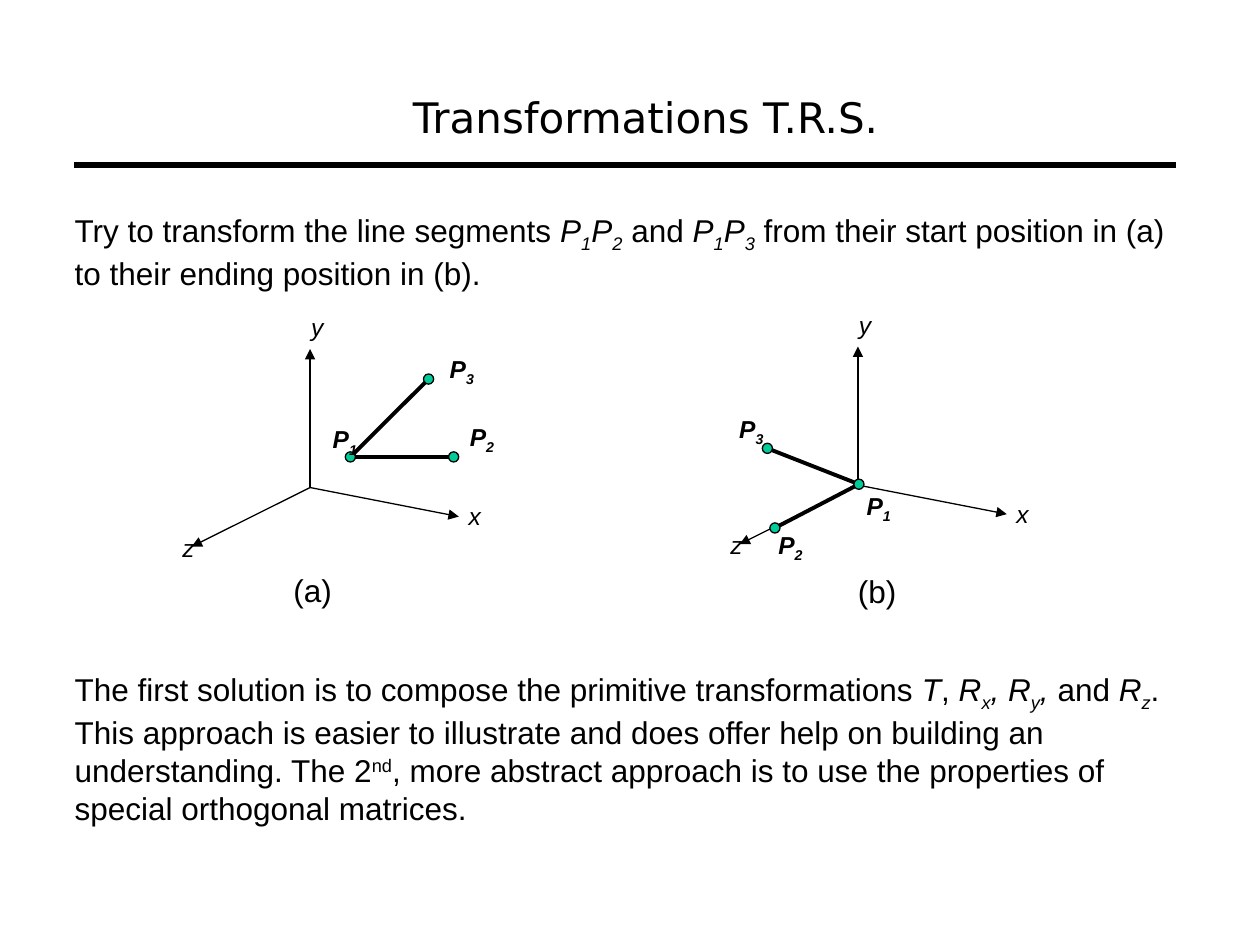
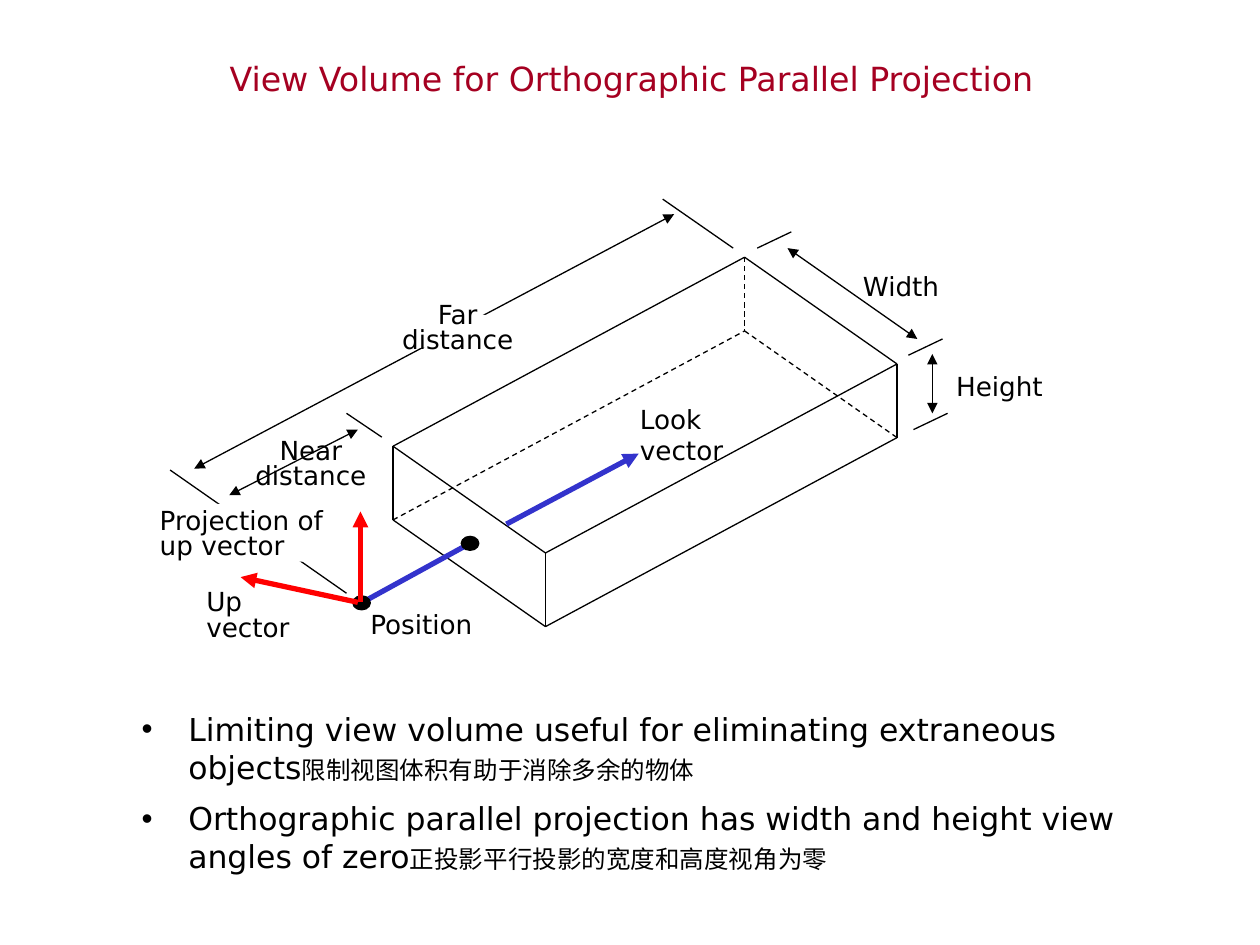
from dataclasses import dataclass
from itertools import combinations, product

from lxml.etree import SubElement
from pptx import Presentation
from pptx.dml.color import RGBColor
from pptx.enum.dml import MSO_LINE
from pptx.enum.shapes import MSO_CONNECTOR, MSO_SHAPE
from pptx.enum.text import MSO_ANCHOR, PP_ALIGN
from pptx.oxml.ns import qn
from pptx.util import Pt


@dataclass(frozen=True)
class Theme:
    black: str = "000000"
    white: str = "FFFFFF"
    crimson: str = "A50021"
    green: str = "00CC99"
    blue: str = "3333CC"
    red: str = "FF0000"
    sans: str = "Arial"
    wide: str = "DejaVu Sans"
    title: int = 24
    small_title: int = 19
    body: int = 18
    label: int = 15
    small: int = 14
    thin: float = 0.75
    medium: float = 2.25
    thick: float = 3


THEME = Theme()
ITALIC = {"italic": True}
SUB = {"italic": True, "baseline": -25000}
SUPER = {"baseline": 30000}


@dataclass(frozen=True)
class Box:
    left: float
    top: float
    width: float
    height: float

    def inner(self, left, top, width, height):
        return Box(self.left + left, self.top + top, width, height)

    def point(self, x, y):
        return self.left + x, self.top + y

    def lengths(self):
        return [Pt(value) for value in (self.left, self.top, self.width, self.height)]


def around(center, width, height):
    return Box(center[0] - width / 2, center[1] - height / 2, width, height)


def add_bullet(para):
    properties = para._p.get_or_add_pPr()
    properties.set("marL", str(Pt(26.6)))
    properties.set("indent", str(-Pt(26.6)))
    SubElement(properties, qn("a:buFont"), typeface=THEME.sans)
    SubElement(properties, qn("a:buChar"), char="•")


def add_text(page, box, paragraphs, font, para_format=None, frame_format=None,
             bullets=False, gap=0):
    """Each paragraph is a list of (text, font changes) spans."""
    frame = page.shapes.add_textbox(*box.lengths()).text_frame
    for name, value in {"word_wrap": True, **(frame_format or {})}.items():
        setattr(frame, name, value)
    for index, spans in enumerate(paragraphs):
        para = frame.add_paragraph() if index else frame.paragraphs[0]
        if index and gap:
            para.space_before = Pt(gap)
        for name, value in (para_format or {}).items():
            setattr(para, name, value)
        if bullets:
            add_bullet(para)
        for text, changes in spans:
            span = para.add_run()
            span.text = text
            style = {**font, **changes}
            baseline = style.pop("baseline", None)
            color = style.pop("color", THEME.black)
            for name, value in style.items():
                setattr(span.font, name, value)
            span.font.color.rgb = RGBColor.from_string(color)
            if baseline:
                span.font._element.set("baseline", str(baseline))


def add_line(page, start, end, color=THEME.black, width=THEME.thin,
             dashed=False, arrows=()):
    """Arrows holds "headEnd" for the start and "tailEnd" for the end."""
    line = page.shapes.add_connector(
        MSO_CONNECTOR.STRAIGHT, *[Pt(value) for value in (*start, *end)])
    line.line.color.rgb = RGBColor.from_string(color)
    line.line.width = Pt(width)
    if dashed:
        line.line.dash_style = MSO_LINE.DASH
    for arrow in arrows:
        SubElement(line.line._get_or_add_ln(), qn(f"a:{arrow}"), type="triangle")
    SubElement(line._element.spPr, qn("a:effectLst"))


def add_filled(page, kind, box, fill, outlined=True):
    shape = page.shapes.add_shape(kind, *box.lengths())
    shape.shadow.inherit = False
    shape.fill.solid()
    shape.fill.fore_color.rgb = RGBColor.from_string(fill)
    if outlined:
        shape.line.color.rgb = RGBColor.from_string(THEME.black)
        shape.line.width = Pt(THEME.thin)
    else:
        shape.line.fill.background()


def add_title(page, box, text, size, color):
    font = {"name": THEME.wide, "size": Pt(size), "color": color}
    add_text(page, box, [[(text, {})]], font, {"alignment": PP_ALIGN.CENTER},
             {"vertical_anchor": MSO_ANCHOR.MIDDLE})


def add_tag(page, box, spans, size=THEME.small, **changes):
    """A short label whose box is wide enough for one line."""
    add_text(page, box, [spans], {"name": THEME.sans, "size": Pt(size), **changes})


def add_axes(page, box):
    """Three axes whose origin is the top left corner of the box."""
    axes = {
        "y": ((0, -79.2), (-6.5, -103.7)),
        "x": ((85, 16.6), (83.5, 4.3)),
        "z": ((-67.7, 33.8), (-80, 22.3)),
    }
    for name, (tip, corner) in axes.items():
        add_line(page, box.point(0, 0), box.point(*tip), arrows=["tailEnd"])
        add_tag(page, box.inner(*corner, 28, 24.5), [(name, ITALIC)])


def add_segments(page, box, points):
    """Join P1 to P2 and P3; points holds (center, label corner) in order."""
    centers = [box.point(*center) for center, _ in points]
    for center in centers[1:]:
        add_line(page, centers[0], center, width=THEME.medium)
    for center in centers:
        add_filled(page, MSO_SHAPE.OVAL, around(center, 5.8, 5.8), THEME.green)
    for number, (_, corner) in enumerate(points, 1):
        add_tag(page, box.inner(*corner, 40, 26.6),
                [("P", ITALIC), (str(number), SUB)], bold=True)


def add_transformations(deck):
    page = deck.slides.add_slide(deck.slide_layouts[6])
    add_title(page, Box(39.5, 21.5, 659, 90), "Transformations T.R.S.",
              THEME.title, THEME.black)
    add_line(page, (42.5, 94.3), (672, 94.3), width=THEME.thick)

    font = {"name": THEME.sans, "size": Pt(THEME.body)}
    task = [
        ("Try to transform the line segments ", {}),
        ("P", ITALIC), ("1", SUB), ("P", ITALIC), ("2", SUB), (" and ", {}),
        ("P", ITALIC), ("1", SUB), ("P", ITALIC), ("3", SUB),
        (" from their start position in (a) to their ending position in (b).", {}),
    ]
    solution = [
        ("The first solution is to compose the primitive transformations ", {}),
        ("T", ITALIC), (", ", {}), ("R", ITALIC), ("x", SUB), (", R", ITALIC),
        ("y", SUB), (", ", ITALIC), ("and ", {}), ("R", ITALIC), ("z", SUB),
        (". This approach is easier to illustrate and does offer help on "
         "building an understanding. The 2", {}), ("nd", SUPER),
        (", more abstract approach is to use the properties of special "
         "orthogonal matrices.", {}),
    ]
    for top, height, spans in ((117, 56, task), (379.4, 100, solution)):
        add_text(page, Box(35.6, top, 653.5, height), [spans], font)

    start = [((23, -17.5), (5.8, -39.6)), ((82, -17.5), (84.2, -41)),
             ((67.7, -62), (72.7, -80))]
    ending = [((0.5, -0.5), (-2.2, 0)), ((-47.5, 24.5), (-52.6, 22.3)),
              ((-51.8, -21), (-75, -44))]
    diagrams = [
        ("(a)", Box(177.2, 278.6, 110, 80), start, (-16.6, 44)),
        ("(b)", Box(490.3, 277.2, 110, 80), ending, (-7.2, 46)),
    ]
    for caption, box, points, corner in diagrams:
        add_axes(page, box)
        add_segments(page, box, points)
        add_tag(page, box.inner(*corner, 48, 29), [(caption, {})], THEME.body)


def add_cuboid(page, box):
    """The box's top left corner is the upper left corner of the near face."""
    width, depth, height = (87.1, 61), (200.9, -108), (0, 42.1)
    hidden = (0, 1, 1)

    def place(corner):
        return box.point(*[sum(step * side[axis] for step, side in
                               zip(corner, (width, depth, height)))
                           for axis in (0, 1)])

    for first, second in combinations(product((0, 1), repeat=3), 2):
        if sum(a != b for a, b in zip(first, second)) == 1:
            add_line(page, place(first), place(second),
                     dashed=hidden in (first, second))


def add_dimensions(page, box):
    measures = [
        ((120.5, 132.5), (47, 170)),
        ((27, 154.8), (301.2, 9.4)),
        ((366, 28.8), (440.2, 80.7)),
        ((448.8, 89.3), (448.8, 123.2)),
    ]
    for start, end in measures:
        add_line(page, box.point(*start), box.point(*end),
                 arrows=["headEnd", "tailEnd"])
    for x, y in ((348.7, 28.8), (435.1, 90), (438, 132.5)):
        add_line(page, box.point(x, y), box.point(x + 19.5, y - 9.3))
    extensions = [
        ((335, 28.8), (294.7, 0.8)),
        ((134.2, 136.8), (114, 123.2)),
        ((114, 226), (13.2, 155.6)),
    ]
    for start, end in extensions:
        add_line(page, box.point(*start), box.point(*end))


def add_view_vectors(page, box):
    position, entry = box.point(122.6, 231.5), box.point(184.6, 197.5)
    blue = {"color": THEME.blue, "width": THEME.thick}
    add_line(page, box.point(205.4, 186.5), box.point(281, 146.2),
             arrows=["tailEnd"], **blue)
    add_line(page, entry, position, **blue)
    for center in (position, entry):
        add_filled(page, MSO_SHAPE.OVAL, around(center, 10, 8), THEME.black)
    for start, end in (((122, 231.2), (122, 179.3)), ((120.5, 231.2), (53.5, 216.8))):
        add_line(page, box.point(*start), box.point(*end), THEME.red,
                 THEME.thick, arrows=["tailEnd"])


def add_figure_labels(page, box):
    font = {"name": THEME.wide, "size": Pt(THEME.label)}
    tight = {"line_spacing": 0.8}
    centered = {**tight, "alignment": PP_ALIGN.CENTER}
    labels = [
        (["Height"], (455.3, 95, 80.6, 25), {}),
        (["Width"], (402, 37.8, 80.6, 25), {}),
        (["Look vector"], (274.6, 113.8, 80.6, 43), {}),
        (["Position"], (120.5, 231.2, 107.3, 25), {}),
        (["Near distance"], (40, 135, 107.3, 36), centered),
        (["Far distance"], (134, 57.4, 87.1, 36), centered),
        (["Up vector"], (26.8, 221.6, 80.6, 36), tight),
        (["Projection of", "up vector"], (0.2, 175, 134, 36), tight),
    ]
    for lines, place, para_format in labels:
        add_text(page, box.inner(*place), [[(line, {})] for line in lines],
                 font, para_format)


def add_view_volume(deck):
    page = deck.slides.add_slide(deck.slide_layouts[6])
    add_title(page, Box(21, 29.5, 680, 30.5),
              "View Volume for Orthographic Parallel Projection",
              THEME.small_title, THEME.crimson)

    figure = Box(84, 113, 536, 257)
    add_cuboid(page, figure.inner(140.6, 142, 288, 103))
    add_dimensions(page, figure)
    for gap in ((154.3, 67, 53.3, 18.7), (33.4, 175, 67, 33)):
        add_filled(page, MSO_SHAPE.RECTANGLE, figure.inner(*gap),
                   THEME.white, outlined=False)
    add_view_vectors(page, figure)
    add_figure_labels(page, figure)

    chinese = {"size": Pt(THEME.small)}
    points = [
        [("Limiting view volume useful for eliminating extraneous objects", {}),
         ("限制视图体积有助于消除多余的物体", chinese)],
        [("Orthographic parallel projection has width and height view angles of zero", {}),
         ("正投影平行投影的宽度和高度视角为零", chinese)],
    ]
    margins = ("margin_left", "margin_top", "margin_right", "margin_bottom")
    add_text(page, Box(81, 405.6, 576, 119), points,
             {"name": THEME.wide, "size": Pt(THEME.body)},
             frame_format=dict.fromkeys(margins, 0), bullets=True, gap=8)


def main():
    deck = Presentation()
    deck.slide_width, deck.slide_height = Pt(720), Pt(540)
    add_transformations(deck)
    add_view_volume(deck)
    deck.save("out.pptx")


if __name__ == "__main__":
    main()
